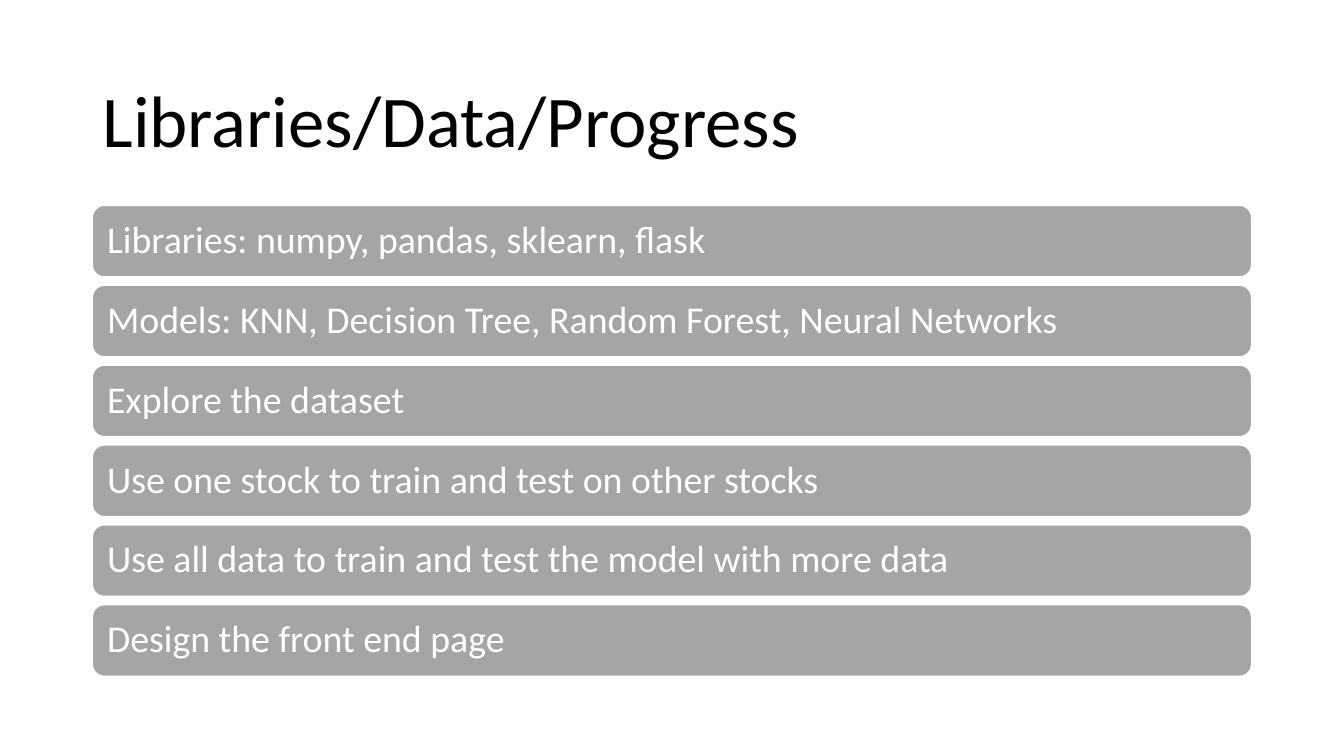
from dataclasses import dataclass

from pptx import Presentation
from pptx.dml.color import RGBColor
from pptx.enum import shapes, text
from pptx.util import Pt


@dataclass(frozen=True)
class Theme:
    font: str = "Calibri"
    ink: RGBColor = RGBColor(0, 0, 0)
    paper: RGBColor = RGBColor(255, 255, 255)
    bar: RGBColor = RGBColor(0xA5, 0xA5, 0xA5)
    head: int = 52
    body: int = 27


THEME = Theme()
LEFT, WIDTH = 66, 828
TOP, HEIGHT, PITCH = 146.7, 51.1, 57.05
STEPS = [
    "Libraries: numpy, pandas, sklearn, flask",
    "Models: KNN, Decision Tree, Random Forest, Neural Networks",
    "Explore the dataset",
    "Use one stock to train and test on other stocks",
    "Use all data to train and test the model with more data",
    "Design the front end page",
]


def write(frame, words, size, color):
    frame.word_wrap = True
    frame.auto_size = text.MSO_AUTO_SIZE.NONE
    frame.vertical_anchor = text.MSO_ANCHOR.MIDDLE
    para = frame.paragraphs[0]
    para.alignment = text.PP_ALIGN.LEFT
    para.line_spacing = 0.9
    run = para.add_run()
    run.text = words
    run.font.name = THEME.font
    run.font.size = Pt(size)
    run.font.color.rgb = color


def add_title(slide, words):
    title = slide.shapes.title
    title.left, title.top = Pt(LEFT), Pt(44)
    title.width, title.height = Pt(WIDTH), Pt(89.3)
    write(title.text_frame, words, THEME.head, THEME.ink)


def add_bar(slide, top, words):
    bar = slide.shapes.add_shape(
        shapes.MSO_SHAPE.ROUNDED_RECTANGLE,
        Pt(LEFT), Pt(top), Pt(WIDTH), Pt(HEIGHT))
    bar.shadow.inherit = False
    bar.fill.solid()
    bar.fill.fore_color.rgb = THEME.bar
    bar.line.color.rgb = THEME.paper
    bar.line.width = Pt(1)
    frame = bar.text_frame
    frame.margin_left = frame.margin_right = Pt(8)
    frame.margin_top = frame.margin_bottom = Pt(8)
    write(frame, words, THEME.body, THEME.paper)


def main():
    deck = Presentation()
    deck.slide_width, deck.slide_height = Pt(960), Pt(540)
    slide = deck.slides.add_slide(deck.slide_layouts[5])
    slide.background.fill.solid()
    slide.background.fill.fore_color.rgb = THEME.paper
    add_title(slide, "Libraries/Data/Progress")
    for row, words in enumerate(STEPS):
        add_bar(slide, TOP + row * PITCH, words)
    deck.save("out.pptx")


if __name__ == "__main__":
    main()
